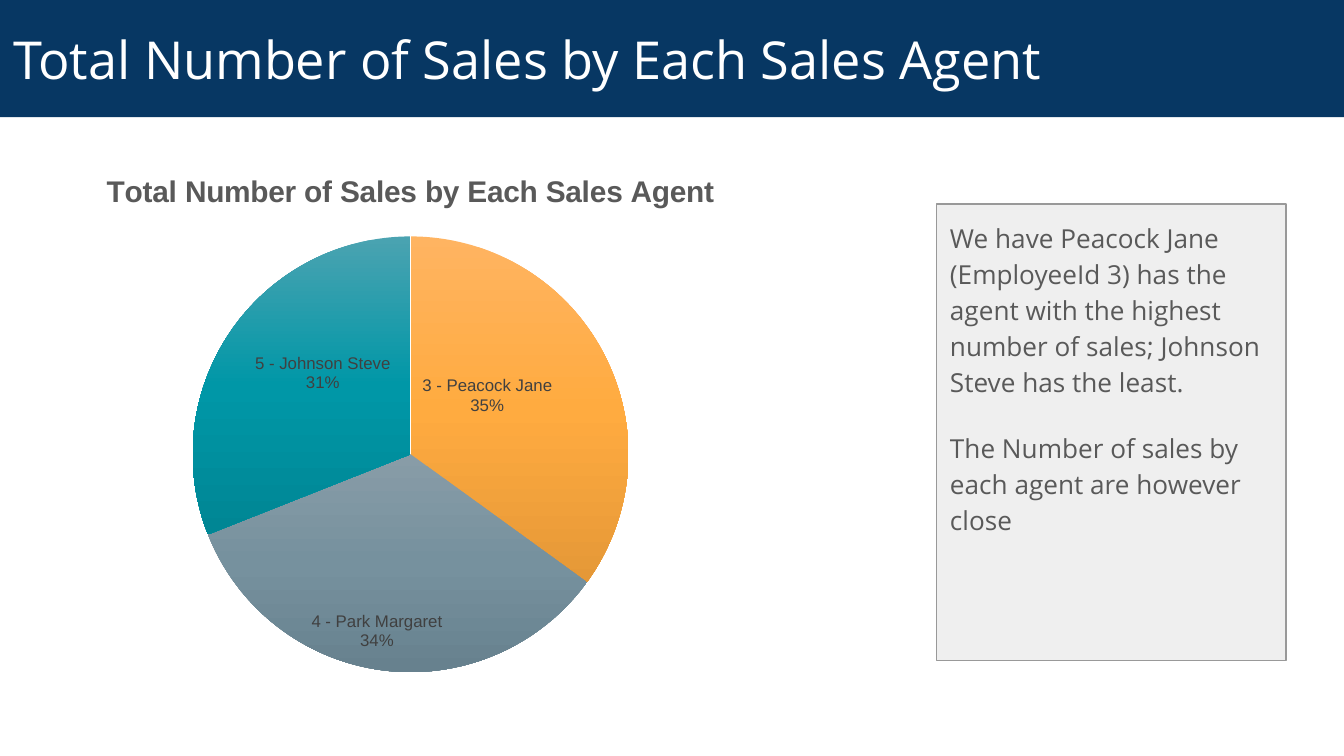
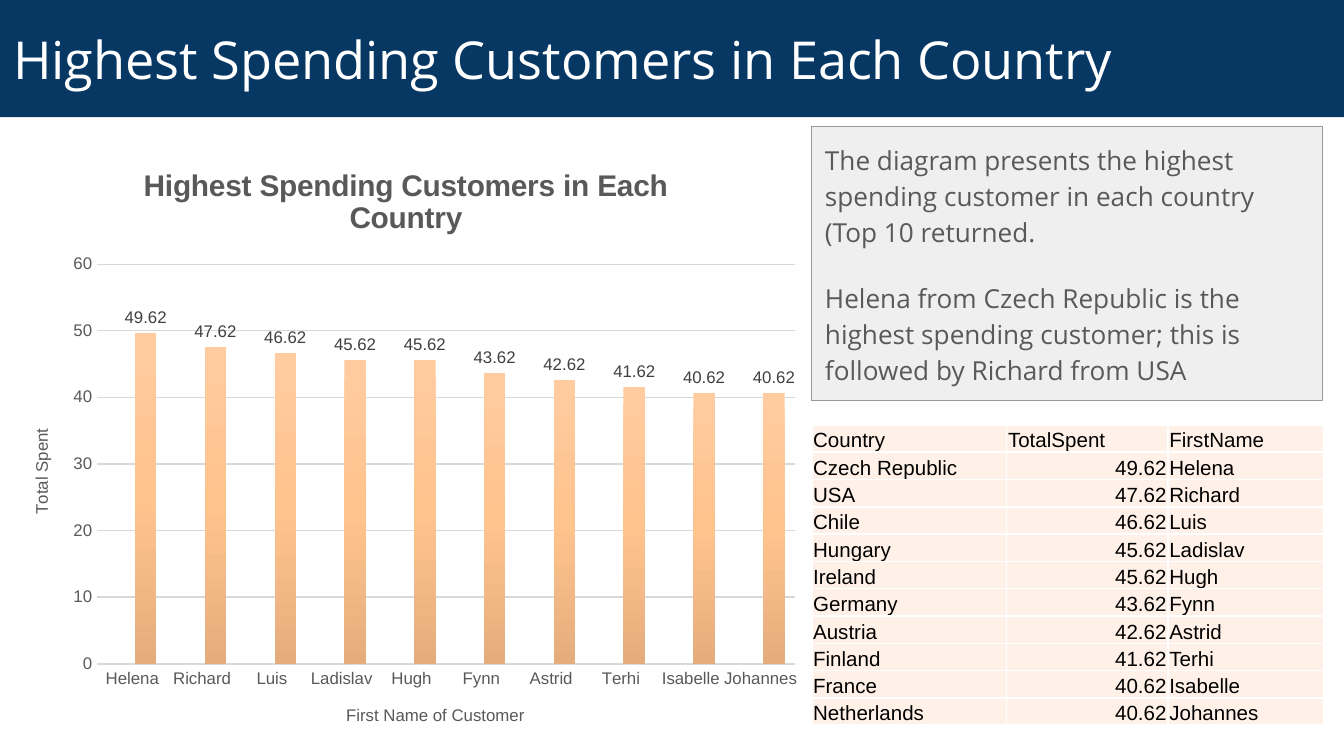
from dataclasses import dataclass
from copy import deepcopy
from pptx import Presentation
from pptx.chart.data import CategoryChartData
from pptx.dml.color import RGBColor
from pptx.enum.chart import XL_CHART_TYPE, XL_LABEL_POSITION, XL_TICK_MARK
from pptx.enum.shapes import MSO_SHAPE
from pptx.enum.text import MSO_ANCHOR, PP_ALIGN
from pptx.oxml import parse_xml
from pptx.oxml.ns import nsdecls, qn
from pptx.util import Inches, Pt


@dataclass
class Theme:
    band = RGBColor.from_string("073763")
    white = RGBColor.from_string("FFFFFF")
    panel = RGBColor.from_string("EFEFEF")
    edge = RGBColor.from_string("999999")
    text = RGBColor.from_string("595959")
    label = RGBColor.from_string("404040")
    grid = RGBColor.from_string("D9D9D9")
    cell = RGBColor.from_string("FFF1E8")
    black = RGBColor.from_string("000000")
    slices = [("FFB461", "FFAB40", "E59837"), ("889CA7", "76919E", "67818E"), ("4BA3B1", "0097A7", "008694")]
    bars = [("E7A35B", "EB9930", "DA8921"), ("FFCB9F", "FFC38E", "E5AD7C")]
    head_font = "Open Sans"
    data_font = "Arial"
    title_size = Pt(28)
    body_size = Pt(14)
    chart_title_size = Pt(16)
    chart_size = Pt(9)
    table_size = Pt(11)


t = Theme()
prs = Presentation()
prs.slide_width, prs.slide_height = Inches(10), Inches(5.625)
col, row = prs.slide_width / 100, prs.slide_height / 100


def at(x, y, w, h):
    return int(x * col), int(y * row), int(w * col), int(h * row)


def paint(fill, shades):
    fill.gradient()
    fill.gradient_angle = 270
    stops = fill._xPr.find(".//" + qn("a:gsLst"))
    stops.append(deepcopy(stops[0]))
    for stop, shade, pos in zip(fill.gradient_stops, shades, (0, 0.5, 1)):
        stop.color.rgb = RGBColor.from_string(shade)
        stop.position = pos


sales = CategoryChartData()
sales.categories = ["3 - Peacock Jane", "4 - Park Margaret", "5 - Johnson Steve"]
sales.add_series("Series 1", [35, 34, 31])

customers = [
    ("Czech Republic", 49.62, "Helena"),
    ("USA", 47.62, "Richard"),
    ("Chile", 46.62, "Luis"),
    ("Hungary", 45.62, "Ladislav"),
    ("Ireland", 45.62, "Hugh"),
    ("Germany", 43.62, "Fynn"),
    ("Austria", 42.62, "Astrid"),
    ("Finland", 41.62, "Terhi"),
    ("France", 40.62, "Isabelle"),
    ("Netherlands", 40.62, "Johannes"),
]
spending = CategoryChartData()
spending.categories = [name for _, _, name in customers]
spending.add_series("Series 1", [0] * len(customers))
spending.add_series("Series 2", [spent for _, spent, _ in customers])

pages = [
    ("Total Number of Sales by Each Sales Agent",
     ["We have Peacock Jane (EmployeeId 3) has the agent with the highest number of sales; Johnson Steve has the least.",
      "The Number of sales by each agent are however close"],
     (69.7, 27, 26, 60.4), XL_CHART_TYPE.PIE, sales, (-3.3, 19.6, 67.7, 77.9), (0.26, 0.15, 0.48, 0.74)),
    ("Highest Spending Customers in Each Country",
     ["The diagram presents the highest spending customer in each country (Top 10 returned.",
      "Helena from Czech Republic is the highest spending customer; this is followed by Richard from USA"],
     (60.4, 16.7, 38, 36.3), XL_CHART_TYPE.COLUMN_CLUSTERED, spending, (0, 18.7, 60.4, 81.3), (0.12, 0.2, 0.86, 0.65)),
]
charts = []
for title, notes, panel_box, kind, data, chart_box, plot_box in pages:
    s = prs.slides.add_slide(prs.slide_layouts[6])
    panel = s.shapes.add_shape(MSO_SHAPE.RECTANGLE, *at(*panel_box))
    band = s.shapes.add_shape(MSO_SHAPE.RECTANGLE, *at(0, 0, 100, 15.5))
    for sp, fill, lines, size, color, anchor in (
        (panel, t.panel, notes, t.body_size, t.text, MSO_ANCHOR.TOP),
        (band, t.band, [title], t.title_size, t.white, MSO_ANCHOR.MIDDLE),
    ):
        sp.shadow.inherit = False
        sp.fill.solid()
        sp.fill.fore_color.rgb = fill
        tf = sp.text_frame
        tf.word_wrap = True
        tf.vertical_anchor = anchor
        tf.margin_left = tf.margin_right = tf.margin_top = tf.margin_bottom = Inches(0.1)
        tf.text = "\n".join(lines)
        for p in tf.paragraphs:
            p.alignment = PP_ALIGN.LEFT
            p.font.name, p.font.size, p.font.color.rgb = t.head_font, size, color
    for p in panel.text_frame.paragraphs:
        p.line_spacing, p.space_after = 1.15, Pt(16)
    panel.line.color.rgb, panel.line.width = t.edge, Pt(0.75)
    band.line.fill.background()

    chart = s.shapes.add_chart(kind, *at(*chart_box), data).chart
    chart.has_legend = False
    chart.font.name, chart.font.size, chart.font.color.rgb = t.data_font, t.chart_size, t.label
    tf = chart.chart_title.text_frame
    tf.text = title
    font = tf.paragraphs[0].font
    font.name, font.size, font.bold, font.color.rgb = t.data_font, t.chart_title_size, True, t.text
    area = chart.element.find(".//" + qn("c:plotArea"))
    for old in area.findall(qn("c:layout")):
        area.remove(old)
    sides = "".join(f'<c:{k} val="{v}"/>' for k, v in zip("xywh", plot_box))
    area.insert(0, parse_xml(
        f'<c:layout {nsdecls("c")}><c:manualLayout><c:layoutTarget val="inner"/>'
        f'<c:xMode val="edge"/><c:yMode val="edge"/>{sides}</c:manualLayout></c:layout>'))
    charts.append(chart)

pie, columns = charts

plot = pie.plots[0]
plot.vary_by_categories = True
shifts = [(-0.05, 0.03), (-0.08, -0.02), (0.02, 0.03)]
for i, (shades, (dx, dy)) in enumerate(zip(t.slices, shifts)):
    point = plot.series[0].points[i]
    paint(point.format.fill, shades)
    label = point.data_label
    label.position = XL_LABEL_POSITION.INSIDE_END
    label.font.size, label.font.color.rgb, label.font.name = t.chart_size, t.label, t.data_font
    mark = plot.series[0]._element.findall(".//" + qn("c:dLbl"))[i]
    for tag, on in (("c:showVal", "0"), ("c:showCatName", "1"), ("c:showPercent", "1")):
        mark.find(qn(tag)).set("val", on)
    mark.find(qn("c:showBubbleSize")).addnext(parse_xml(f'<c:separator {nsdecls("c")}>\n</c:separator>'))
    mark.insert(1, parse_xml(
        f'<c:layout {nsdecls("c")}><c:manualLayout><c:x val="{dx}"/><c:y val="{dy}"/></c:manualLayout></c:layout>'))

plot = columns.plots[0]
plot.gap_width, plot.overlap, plot.vary_by_categories = 100, -24, False
for series, shades in zip(plot.series, t.bars):
    paint(series.format.fill, shades)
labels = plot.series[1].data_labels
labels.show_value, labels.position = True, XL_LABEL_POSITION.OUTSIDE_END
labels.font.name, labels.font.size, labels.font.color.rgb = t.data_font, t.chart_size, t.label
for axis, title in ((columns.category_axis, "First Name of Customer"), (columns.value_axis, "Total Spent")):
    axis.major_tick_mark = axis.minor_tick_mark = XL_TICK_MARK.NONE
    tf = axis.axis_title.text_frame
    tf.text = title
    for font in (axis.tick_labels.font, tf.paragraphs[0].font):
        font.name, font.size, font.bold, font.color.rgb = t.data_font, t.chart_size, False, t.text
line = columns.category_axis.format.line
line.color.rgb, line.width = t.grid, Pt(1)
axis = columns.value_axis
axis.minimum_scale, axis.maximum_scale, axis.major_unit = 0, 60, 10
axis.format.line.fill.background()
axis.major_gridlines.format.line.color.rgb = t.grid
axis.major_gridlines.format.line.width = Pt(0.75)

rows = [("Country", "TotalSpent", "FirstName")] + customers
table = s.shapes.add_table(len(rows), 3, *at(60.4, 56.2, 38, 39.8)).table
for column, width in zip(table.columns, (14.5, 12, 11.6)):
    column.width = int(width * col)
for y, values in enumerate(rows):
    for x, value in enumerate(values):
        cell = table.cell(y, x)
        cell.text = str(value)
        cell.vertical_anchor = MSO_ANCHOR.BOTTOM
        cell.margin_left = cell.margin_right = cell.margin_top = Inches(0.01)
        cell.margin_bottom = 0
        p = cell.text_frame.paragraphs[0]
        p.alignment = PP_ALIGN.RIGHT if y and x == 1 else PP_ALIGN.LEFT
        p.font.name, p.font.size, p.font.bold, p.font.color.rgb = t.data_font, t.table_size, False, t.black
        tcPr = cell._tc.get_or_add_tcPr()
        for side in ("lnL", "lnR", "lnT", "lnB"):
            tcPr.append(parse_xml(
                f'<a:{side} {nsdecls("a")} w="{Pt(1)}"><a:solidFill><a:srgbClr val="{t.white}"/></a:solidFill></a:{side}>'))
        cell.fill.solid()
        cell.fill.fore_color.rgb = t.cell

prs.save("out.pptx")
